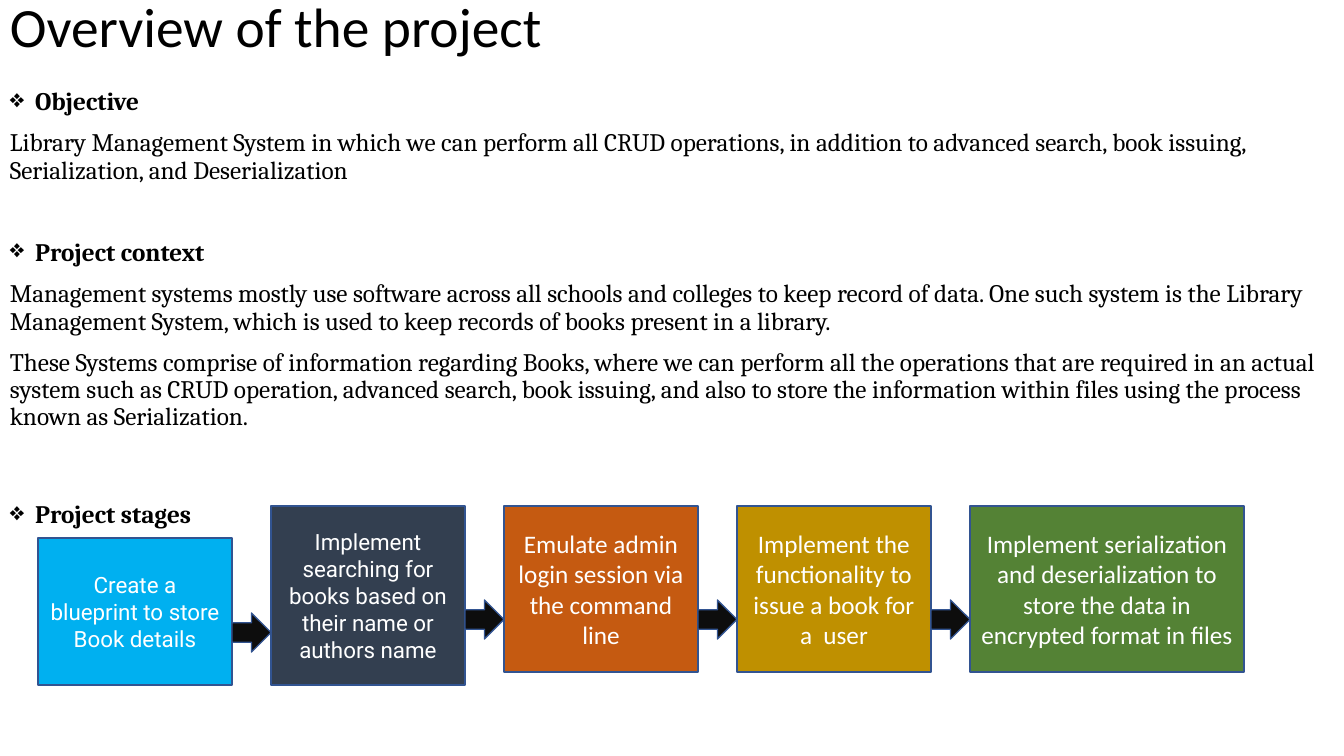
from lxml import etree
from pptx import Presentation
from pptx.dml.color import RGBColor
from pptx.enum.shapes import MSO_SHAPE
from pptx.enum.text import MSO_ANCHOR, PP_ALIGN
from pptx.oxml.ns import qn
from pptx.util import Emu, Pt

RECTANGLE = MSO_SHAPE.RECTANGLE
RIGHT_ARROW = MSO_SHAPE.RIGHT_ARROW
MIDDLE = MSO_ANCHOR.MIDDLE
TOP = MSO_ANCHOR.TOP
CENTER = PP_ALIGN.CENTER

EMU_PER_PX = 914400 / 100.8
PAGE_WIDTH, PAGE_HEIGHT = 1344, 756

COLORS = {
    "ink": "000000",
    "light": "FFFFFF",
    "outline": "325491",
    "arrow": "0D0D0D",
    "blue": "00B0F0",
    "slate": "333F50",
    "orange": "C55A11",
    "gold": "BF9000",
    "green": "548235",
}

SECTIONS = [
    ("Objective", 10, [
        "Library Management System in which we can perform all CRUD operations, in addition to "
        "advanced search, book issuing, Serialization, and Deserialization",
    ]),
    ("Project context", 39.5, [
        "Management systems mostly use software across all schools and colleges to keep record of "
        "data. One such system is the Library Management System, which is used to keep records of "
        "books present in a library.",
        "These Systems comprise of information regarding Books, where we can perform all the "
        "operations that are required in an actual system such as CRUD operation, advanced search, "
        "book issuing, and also to store the information within files using the process known as "
        "Serialization.",
    ]),
    ("Project stages", 50.5, []),
]

STAGE_LEFT, STAGE_STEP, STAGE_TOP = 38, 233, 506
STAGE_WIDTH, LAST_STAGE_WIDTH = 194, 274
ARROW_SIZE = 39
STAGES = [
    ("Create a blueprint to store Book details", "blue", 538, 147, "Roboto", 16),
    ("Implement searching for books based on their name or authors name",
     "slate", STAGE_TOP, 179, "Roboto", 16),
    ("Emulate admin login session via the command line",
     "orange", STAGE_TOP, 166, "Calibri", 18),
    ("Implement the functionality to issue a book for a  user",
     "gold", STAGE_TOP, 166, "Calibri", 18),
    ("Implement serialization and deserialization to store the data in encrypted format in files",
     "green", STAGE_TOP, 166, "Calibri", 18),
]


def px(length):
    return Emu(round(length * EMU_PER_PX))


def color(name):
    return RGBColor.from_string(COLORS[name])


class Page:
    def __init__(self, deck):
        self.shapes = deck.slides.add_slide(deck.slide_layouts[6]).shapes

    def style(self, para, font, size, ink, bold=False):
        para.font.name = font
        para.font.size = Pt(size)
        para.font.bold = bold
        para.font.color.rgb = color(ink)

    def text_box(self, left, top, width, height, anchor):
        frame = self.shapes.add_textbox(px(left), px(top), px(width), px(height)).text_frame
        frame.word_wrap = True
        frame.vertical_anchor = anchor
        return frame

    def paragraph(self, frame, text, font, size, before=0, heading=False):
        para = frame.add_paragraph() if frame.text else frame.paragraphs[0]
        para.text = text
        para.line_spacing = 0.9
        para.space_before = Pt(before)
        if heading:
            self.bullet(para)
        self.style(para, font, size, "ink", heading)

    def bullet(self, para):
        properties = para._p.get_or_add_pPr()
        properties.set("marL", "228600")
        properties.set("indent", "-228600")
        etree.SubElement(properties, qn("a:buChar")).set("char", "❖")

    def shape(self, kind, left, top, width, height, fill):
        box = self.shapes.add_shape(kind, px(left), px(top), px(width), px(height))
        box.shadow.inherit = False
        box.fill.solid()
        box.fill.fore_color.rgb = color(fill)
        box.line.color.rgb = color("outline")
        box.line.width = Pt(1)
        return box

    def stage(self, left, top, width, height, fill, text, font, size):
        frame = self.shape(RECTANGLE, left, top, width, height, fill).text_frame
        frame.word_wrap = True
        frame.vertical_anchor = MIDDLE
        para = frame.paragraphs[0]
        para.text = text
        para.alignment = CENTER
        self.style(para, font, size, "light")

    def arrow(self, left, top):
        self.shape(RIGHT_ARROW, left, top, ARROW_SIZE, ARROW_SIZE, "arrow")


def main():
    deck = Presentation()
    deck.slide_width, deck.slide_height = px(PAGE_WIDTH), px(PAGE_HEIGHT)
    page = Page(deck)

    title = page.text_box(0, 0, PAGE_WIDTH, 60, MIDDLE)
    page.paragraph(title, "Overview of the project", "Calibri", 39.6)

    body = page.text_box(0, 84, PAGE_WIDTH, 672, TOP)
    for heading, before, texts in SECTIONS:
        page.paragraph(body, heading, "Cambria", 18, before, heading=True)
        for text in texts:
            page.paragraph(body, text, "Cambria", 18, 10)

    last = len(STAGES) - 1
    for index, (text, fill, top, height, font, size) in enumerate(STAGES):
        left = STAGE_LEFT + index * STAGE_STEP
        width = LAST_STAGE_WIDTH if index == last else STAGE_WIDTH
        page.stage(left, top, width, height, fill, text, font, size)

    for index in range(last):
        left = STAGE_LEFT + (index + 1) * STAGE_STEP - ARROW_SIZE
        page.arrow(left, 613 if index == 0 else 600)

    deck.save("out.pptx")


if __name__ == "__main__":
    main()
